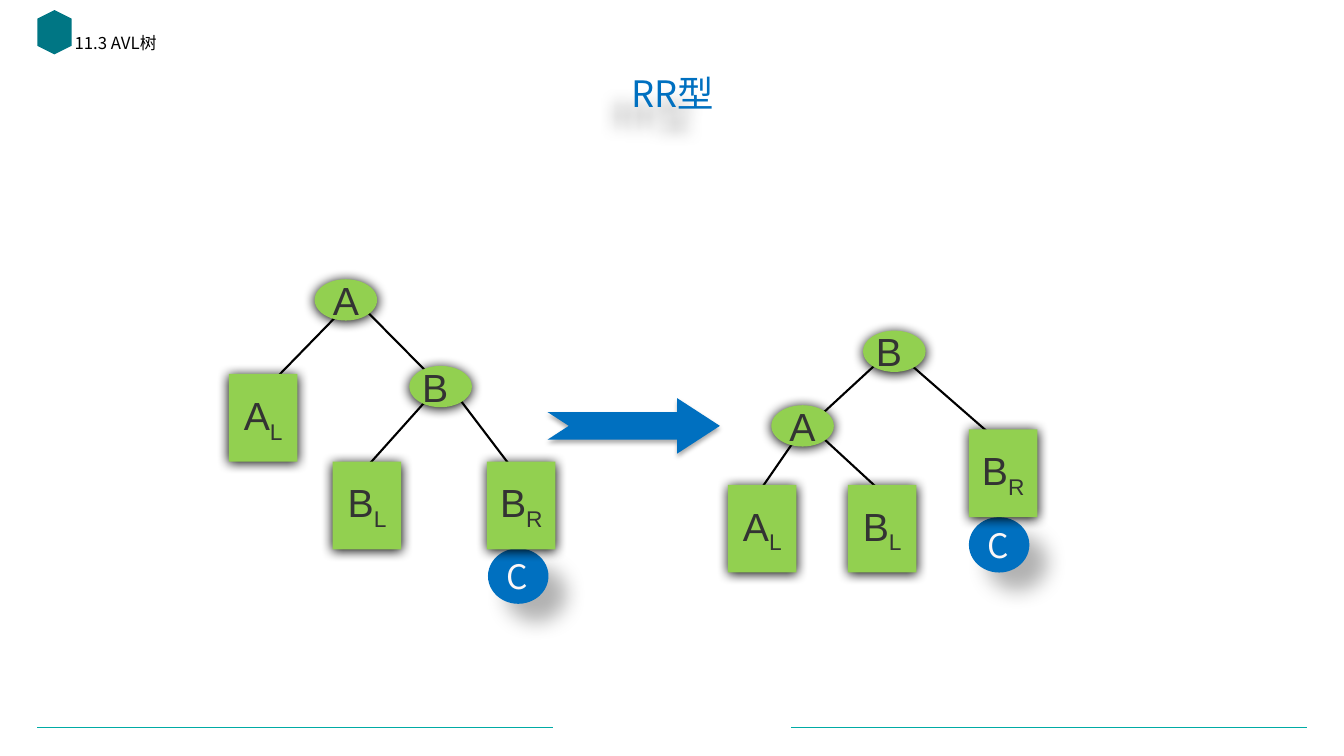
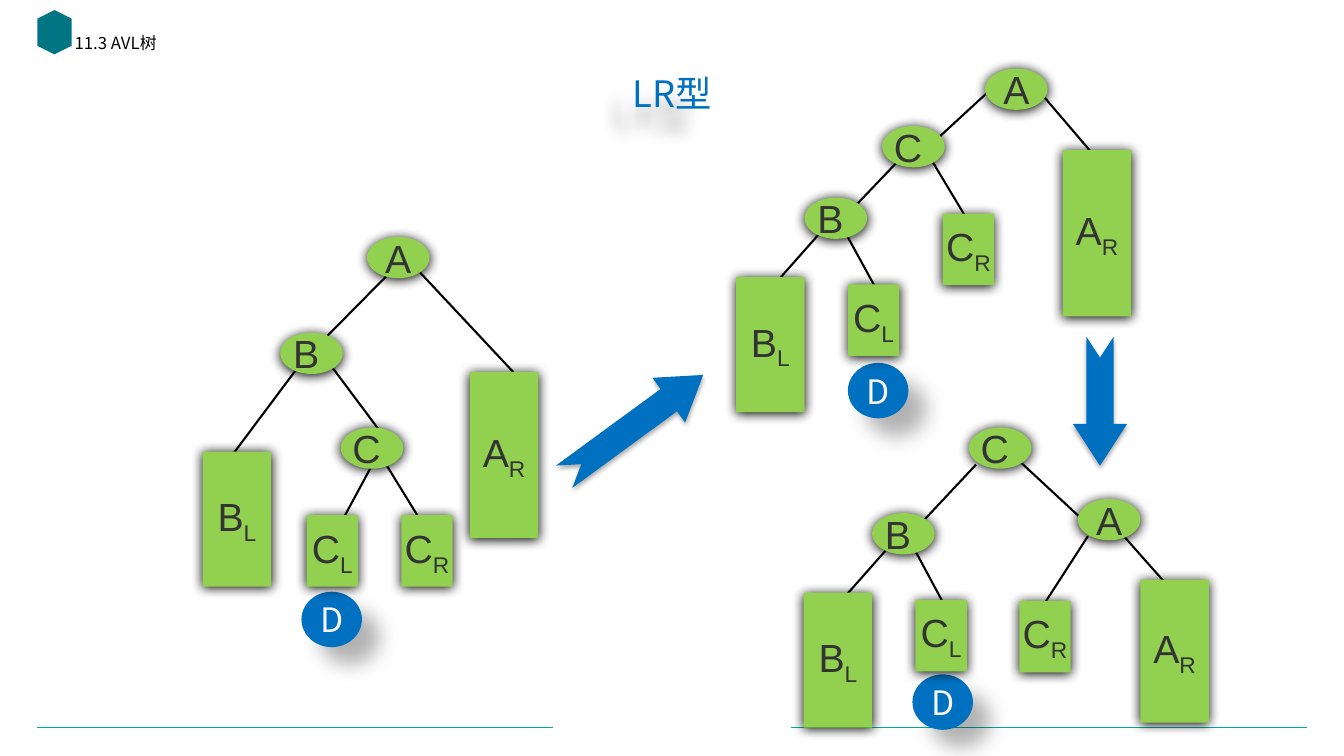
from lxml import etree
from pptx import Presentation
from pptx import util as u
from pptx.dml.color import RGBColor
from pptx.enum import shapes, text
from pptx.oxml import ns

HUES = {"teal": "00ABA5", "deep": "007684", "blue": "0070C0", "green": "92D050",
        "ink": "333333", "black": "000000", "pale": "FCF7F7"}
SANS, CJK = "Arial", "Noto Sans CJK SC"
FORM, SIDE = shapes.MSO_SHAPE, text.PP_ALIGN
# Shadows: opacity in percent, blur and distance in points, direction in degrees
SHADES = {"node": (100, 8.5, 1, 90), "ball": (30, 15, 18, 45),
          "arrow": (32, 3.5, 2.2, 90), "title": (30, 10, 22, 135), "none": None}


def shade(item, kind):
    """Give a shape or connector its shadow, or an empty effect list."""
    fx = etree.SubElement(item._element.spPr, ns.qn("a:effectLst"))
    if SHADES[kind]:
        alpha, blur, dist, way = SHADES[kind]
        drop = etree.SubElement(fx, ns.qn("a:outerShdw"), blurRad=str(u.Pt(blur)),
                                dist=str(u.Pt(dist)), dir=str(way * 60000),
                                algn="ctr", rotWithShape="0")
        tone = etree.SubElement(drop, ns.qn("a:srgbClr"), val=HUES["black"])
        etree.SubElement(tone, ns.qn("a:alpha"), val=str(alpha * 1000))


def style(item, size, face, hue, side):
    """Format every run in a shape and align its paragraphs."""
    for para in item.text_frame.paragraphs:
        para.alignment = side
        for run in para.runs:
            run.font.size = u.Pt(size)
            run.font.name = face
            run.font.color.rgb = RGBColor.from_string(HUES[hue])
            etree.SubElement(run._r.get_or_add_rPr(), ns.qn("a:ea"), typeface=face)


# One letter is an oval node (label, x, y); two letters are a subtree (label, x, y, height);
# balls are new nodes (label, x, y); arrows are (x, y, width, height, turn).
PAGES = [
    {"title": "RR型",
     "edges": [(3.47, 3, 2.7, 3.79), (4.32, 3.87, 3.55, 4.73), (4.49, 3.87, 5.09, 4.66),
               (3.55, 3, 4.49, 3.95), (8.07, 4.26, 8.84, 4.97), (8.84, 3.45, 9.95, 4.42),
               (7.9, 4.34, 7.3, 5.21), (8.67, 3.63, 7.9, 4.34)],
     "balls": [("C", 4.84, 5.44), ("C", 9.61, 5.13)],
     "nodes": [("A", 3.12, 2.77), ("B ", 4.06, 3.63), ("BL", 3.3, 4.58, 0.87),
               ("BR", 4.83, 4.58, 0.87), ("AL", 2.27, 3.71, 0.87),
               ("BL", 8.41, 4.81, 0.87), ("BR", 9.61, 4.26, 0.87), ("B ", 8.56, 3.28),
               ("A", 7.65, 4.02), ("AL", 7.22, 4.81, 0.87)],
     "arrows": [(5.43, 3.95, 1.71, 0.55, 0)]},
    {"title": "LR型",
     "edges": [(3.98, 2.59, 3.21, 3.37), (3.04, 3.53, 2.27, 4.56), (3.21, 3.53, 3.8, 4.32),
               (4.06, 2.59, 5.09, 3.69), (3.72, 4.56, 3.38, 5.19), (3.8, 4.56, 4.23, 5.26),
               (10.03, 0.7, 9.26, 1.41), (10.2, 0.78, 11.14, 1.88), (8.32, 2.19, 8.84, 3.14),
               (8.24, 2.19, 7.47, 3.06), (9.01, 1.49, 8.41, 2.12), (9.18, 1.49, 9.6, 2.19),
               (10.97, 5.12, 11.74, 5.99), (10.03, 4.5, 10.71, 5.13), (9.68, 4.61, 9.08, 5.25),
               (8.91, 5.32, 8.14, 6.19), (9, 5.32, 9.51, 6.27), (10.79, 5.32, 10.28, 6.11)],
     "balls": [("D", 2.99, 5.87), ("D", 8.41, 3.6), ("D", 9.05, 6.69)],
     "nodes": [("A", 3.64, 2.35), ("B ", 2.78, 3.3), ("BL", 2.01, 4.48, 1.34),
               ("CL", 3.04, 5.11, 0.71), ("AR", 4.66, 3.69, 1.65), ("C ", 3.38, 4.24),
               ("CR", 3.98, 5.11, 0.71), ("A", 9.77, 0.68), ("AR", 10.54, 1.49, 1.65),
               ("CL", 8.41, 2.82, 0.71), ("B ", 7.98, 1.96), ("BL", 7.3, 2.75, 1.34),
               ("C ", 8.75, 1.25), ("CR", 9.35, 2.12, 0.71), ("A", 10.69, 4.95),
               ("AR", 11.31, 5.75, 1.42), ("C ", 9.61, 4.24), ("B ", 8.65, 5.09),
               ("BL", 7.97, 5.88, 1.34), ("CL", 9.08, 5.95, 0.71), ("CR", 10.11, 5.96, 0.71)],
     "arrows": [(5.43, 3.95, 1.71, 0.55, 323.8), (10.27, 3.71, 1.28, 0.54, 90)]},
]

deck = Presentation()
deck.slide_width, deck.slide_height = u.Inches(13.33), u.Inches(7.5)
base = deck.slide_layouts[0]

# Title and section places, shared through the layout
for spot, box in zip(base.placeholders, [(0.92, 0.62, 11.5, 0.57), (0.64, 0.3, 5.32, 0.36)]):
    spot.left, spot.top, spot.width, spot.height = map(u.Inches, box)

for page in PAGES:
    slide = deck.slides.add_slide(base)
    art = slide.shapes

    # Footer rules and corner mark, drawn once and moved to the layout
    if page is PAGES[0]:
        trim = []
        for left in (0.37, 7.85):
            rule = art.add_connector(shapes.MSO_CONNECTOR.STRAIGHT, u.Inches(left), u.Inches(7.22),
                                     u.Inches(left + 5.11), u.Inches(7.22))
            rule.line.color.rgb = RGBColor.from_string(HUES["teal"])
            rule.line.width = u.Pt(0.5)
            trim.append(rule)
        mark = art.add_shape(FORM.HEXAGON, *map(u.Inches, (0.32, 0.15, 0.44, 0.34)))
        mark.rotation = 90
        mark.fill.solid()
        mark.fill.fore_color.rgb = RGBColor.from_string(HUES["deep"])
        mark.line.fill.background()
        for item in trim + [mark]:
            shade(item, "none")
            base.shapes._spTree.append(item._element)

    # Title and section name
    head, part = art.title, slide.placeholders[1]
    head.text_frame.text = page["title"]
    head.text_frame.word_wrap = False
    head.text_frame.vertical_anchor = text.MSO_ANCHOR.BOTTOM
    style(head, 26, CJK, "blue", SIDE.CENTER)
    shade(head, "title")
    part.text_frame.text = "11.3 AVL树"
    part.text_frame.paragraphs[0].space_before = u.Pt(10)
    style(part, 12, CJK, "black", SIDE.LEFT)
    for item in (head, part):
        item.text_frame.auto_size = text.MSO_AUTO_SIZE.NONE
        item.text_frame.paragraphs[0].line_spacing = 0.9

    # Tree edges, behind the nodes
    for ends in page["edges"]:
        edge = art.add_connector(shapes.MSO_CONNECTOR.STRAIGHT, *map(u.Inches, ends))
        edge.line.color.rgb = RGBColor.from_string(HUES["black"])
        edge.line.width = u.Pt(1.5)
        shade(edge, "none")

    # New nodes, tree nodes, subtrees and arrows
    items = [("ball", FORM.OVAL, name, (x, y, 0.6, 0.55), 0) for name, x, y in page["balls"]]
    for name, x, y, *tall in page["nodes"]:
        if tall:
            wide = 0.51 if name[0] == "C" else 0.68
            items.append(("node", FORM.RECTANGLE, name, (x, y, wide, tall[0]), 0))
        else:
            items.append(("node", FORM.OVAL, name, (x, y, 0.62, 0.41), 0))
    for *box, turn in page["arrows"]:
        items.append(("arrow", FORM.NOTCHED_RIGHT_ARROW, "", box, turn))

    for kind, form, name, box, turn in items:
        item = art.add_shape(form, *map(u.Inches, box))
        item.rotation = turn
        item.fill.solid()
        item.fill.fore_color.rgb = RGBColor.from_string(HUES["green" if kind == "node" else "blue"])
        item.line.fill.background()
        shade(item, kind)
        frame = item.text_frame
        frame.vertical_anchor = text.MSO_ANCHOR.MIDDLE
        if kind == "arrow":
            item.adjustments[0], item.adjustments[1] = 0.5, 0.77
        elif kind == "ball":
            frame.text = name
            style(item, 24, CJK, "pale", SIDE.LEFT)
        else:
            frame.word_wrap = False
            sub = form == FORM.RECTANGLE
            frame.text = name[0] if sub else name
            if sub:
                low = frame.paragraphs[0].add_run()
                low.text = name[1]
                low._r.get_or_add_rPr().set("baseline", "-25000")
            style(item, 28, SANS, "ink", SIDE.CENTER)

deck.save("out.pptx")
